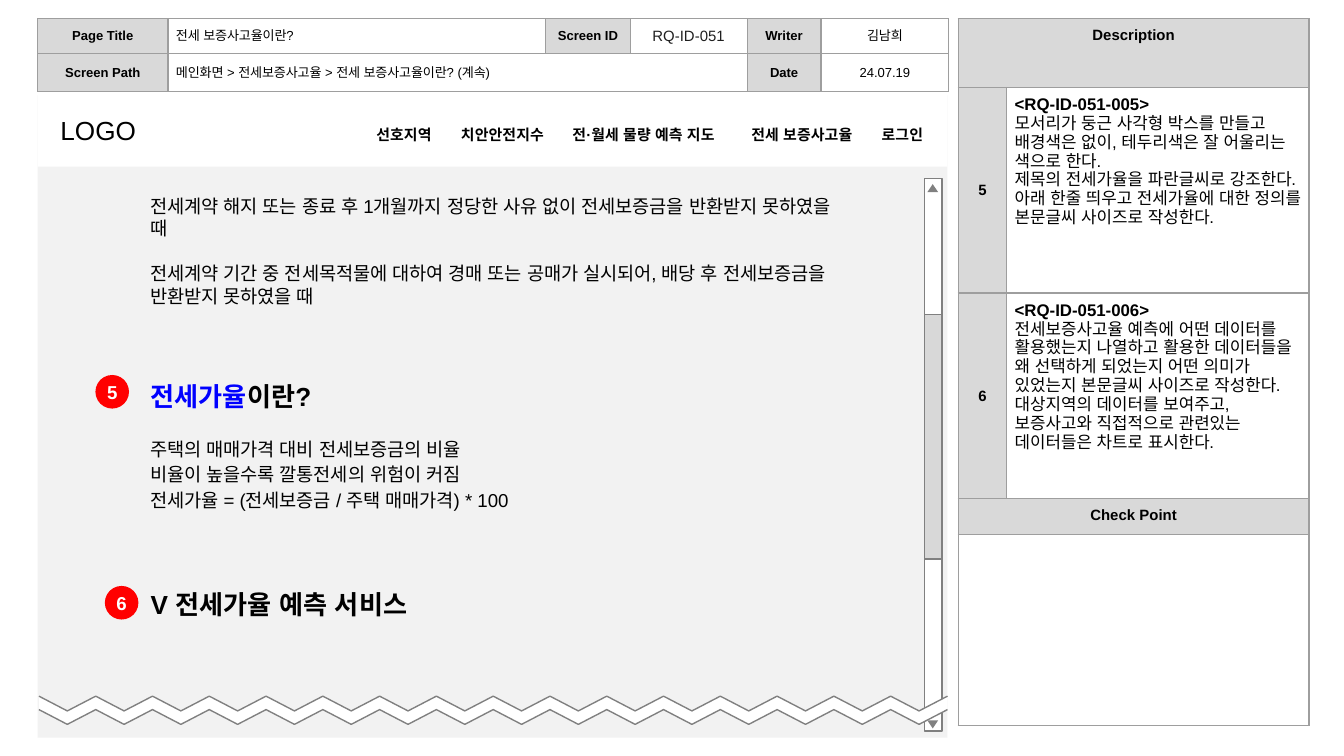
from collections import namedtuple
from dataclasses import dataclass

from lxml import etree
from pptx import Presentation
from pptx.dml.color import RGBColor
from pptx.enum import shapes, text
from pptx.oxml import ns
from pptx.util import Inches, Pt

Box = namedtuple("Box", "left top width height")
Kind = shapes.MSO_SHAPE
CENTER, LEFT = text.PP_ALIGN.CENTER, text.PP_ALIGN.LEFT
MIDDLE, TOP = text.MSO_ANCHOR.MIDDLE, text.MSO_ANCHOR.TOP


@dataclass(frozen=True)
class Theme:
    font: str = "Arial"
    language: str = "ko"
    black: str = "000000"
    ink: str = "1F1F1F"
    white: str = "FFFFFF"
    panel: str = "F2F2F2"
    label: str = "D9D9D9"
    thumb: str = "D8D8D8"
    border: str = "9E9E9E"
    outline: str = "808080"
    accent: str = "0000FF"
    marker: str = "FF0000"
    heading: float = 14
    body: float = 10
    note: float = 9
    small: float = 8
    tiny: float = 7
    line: float = 0.75
    loose: float = 1.15


THEME = Theme()


def lengths(box):
    return [Inches(value) for value in box]


def add_run(paragraph, words, size, color=THEME.black, bold=False):
    run = paragraph.add_run()
    run.text = words
    for name, value in {"name": THEME.font, "size": Pt(size), "bold": bold}.items():
        setattr(run.font, name, value)
    run.font.color.rgb = RGBColor.from_string(color)
    # Korean text takes the East Asian font and language
    properties = run._r.get_or_add_rPr()
    properties.set("lang", THEME.language)
    for script in ("ea", "cs"):
        etree.SubElement(properties, ns.qn(f"a:{script}"), typeface=THEME.font)


def format_frame(frame, inset, anchor=TOP):
    values = {"word_wrap": True, "auto_size": text.MSO_AUTO_SIZE.NONE, "vertical_anchor": anchor}
    for side in ("left", "top", "right", "bottom"):
        values[f"margin_{side}"] = Inches(inset)
    for name, value in values.items():
        setattr(frame, name, value)


def write_paragraphs(frame, paragraphs):
    """Each paragraph is a list of run arguments and a dict of its format."""
    for index, (runs, values) in enumerate(paragraphs):
        paragraph = frame.add_paragraph() if index else frame.paragraphs[0]
        for name, value in values.items():
            setattr(paragraph, name, value)
        for run in runs:
            add_run(paragraph, *run)


def add_text(slide, box, paragraphs):
    shape = slide.shapes.add_textbox(*lengths(box))
    format_frame(shape.text_frame, 0.1)
    write_paragraphs(shape.text_frame, paragraphs)


def paint(shape, fill=None, line=None):
    shape.shadow.inherit = False
    if fill:
        shape.fill.solid()
        shape.fill.fore_color.rgb = RGBColor.from_string(fill)
    else:
        shape.fill.background()
    if line:
        shape.line.color.rgb = RGBColor.from_string(line)
        shape.line.width = Pt(THEME.line)
    else:
        shape.line.fill.background()


def add_shape(slide, kind, box, fill, line=None):
    shape = slide.shapes.add_shape(kind, *lengths(box))
    paint(shape, fill, line)
    return shape


# Tables

def add_grid(slide, box, columns, rows):
    table = slide.shapes.add_table(len(rows), len(columns), *lengths(box)).table
    table.first_row = table.horz_banding = False
    for column, width in zip(table.columns, columns):
        column.width = Inches(width)
    for row, height in zip(table.rows, rows):
        row.height = Inches(height)
    for cell in table.iter_cells():
        properties = cell._tc.get_or_add_tcPr()
        for side in ("lnL", "lnR", "lnT", "lnB"):
            line = etree.SubElement(properties, ns.qn(f"a:{side}"), w=str(Pt(THEME.line)))
            fill = etree.SubElement(line, ns.qn("a:solidFill"))
            etree.SubElement(fill, ns.qn("a:srgbClr"), val=THEME.border)
        fill_cell(cell, THEME.white)
    return table


def fill_cell(cell, color):
    cell.fill.solid()
    cell.fill.fore_color.rgb = RGBColor.from_string(color)


def fill_text(cell, paragraphs, anchor=MIDDLE):
    for side in ("left", "top", "right", "bottom"):
        setattr(cell, f"margin_{side}", Inches(0.06))
    cell.vertical_anchor = anchor
    write_paragraphs(cell.text_frame, paragraphs)


def fill_label(cell, words, size, anchor=MIDDLE):
    fill_cell(cell, THEME.label)
    fill_text(cell, [([(words, size, THEME.black, True)], {"alignment": CENTER})], anchor)


def add_page_table(slide, box):
    table = add_grid(slide, box, [0.97, 2.81, 0.63, 0.87, 0.55, 0.95], [0.26, 0.28])
    table.cell(1, 1).merge(table.cell(1, 3))
    labels = {(0, 0): "Page Title", (0, 2): "Screen ID", (0, 4): "Writer",
              (1, 0): "Screen Path", (1, 4): "Date"}
    for place, words in labels.items():
        fill_label(table.cell(*place), words, THEME.tiny)
    values = [
        (0, 1, "전세 보증사고율이란?", THEME.tiny, THEME.black, LEFT),
        (0, 3, "RQ-ID-051", THEME.small, THEME.ink, CENTER),
        (0, 5, "김남희", THEME.tiny, THEME.black, CENTER),
        (1, 1, "메인화면 > 전세보증사고율 > 전세 보증사고율이란? (계속)", THEME.tiny, THEME.black, LEFT),
        (1, 5, "24.07.19", THEME.tiny, THEME.black, CENTER),
    ]
    for row, column, words, size, color, alignment in values:
        fill_text(table.cell(row, column), [([(words, size, color)], {"alignment": alignment})])


def add_description_table(slide, box):
    table = add_grid(slide, box, [0.36, 2.25], [0.51, 1.53, 1.53, 0.27, 1.42])
    for row in (0, 3, 4):
        table.cell(row, 0).merge(table.cell(row, 1))
    for row, words in ((0, "Description"), (3, "Check Point")):
        fill_label(table.cell(row, 0), words, THEME.small, TOP)
    notes = {
        "5": ["모서리가 둥근 사각형 박스를 만들고 배경색은 없이, 테두리색은 잘 어울리는 색으로 한다.",
              "제목의 전세가율을 파란글씨로 강조한다.",
              "아래 한줄 띄우고 전세가율에 대한 정의를 본문글씨 사이즈로 작성한다."],
        "6": ["전세보증사고율 예측에 어떤 데이터를 활용했는지 나열하고 활용한 데이터들을 왜 선택하게 되었는지 "
              "어떤 의미가 있었는지 본문글씨 사이즈로 작성한다.",
              "대상지역의 데이터를 보여주고, 보증사고와 직접적으로 관련있는 데이터들은 차트로 표시한다."],
    }
    for row, (number, lines) in enumerate(notes.items(), 1):
        fill_label(table.cell(row, 0), number, THEME.small)
        paragraphs = [([(f"<RQ-ID-051-00{number}>", THEME.note, THEME.black, True)], {})]
        paragraphs += [([(line, THEME.note)], {}) for line in lines]
        fill_text(table.cell(row, 1), paragraphs, TOP)


# Screen mock-up

def add_navigation(slide, box):
    shape = add_shape(slide, Kind.RECTANGLE, box, THEME.white)
    frame = shape.text_frame
    format_frame(frame, 0.1, MIDDLE)
    frame.margin_left = Inches(0.17)
    items = {"선호지역": 0.41, "치안안전지수": 0.61, "전·월세 물량 예측 지도": 1.11,
             "전세 보증사고율": 0.75, "로그인": 0.31}
    runs = [("LOGO", THEME.heading)]
    runs += [(f"\t{words}", THEME.small, THEME.black, True) for words in items]
    write_paragraphs(frame, [(runs, {"alignment": LEFT})])
    # One tab stop for each item
    stops = etree.SubElement(frame.paragraphs[0]._p.get_or_add_pPr(), ns.qn("a:tabLst"))
    gap, left = 0.22, 2.35
    for width in items.values():
        etree.SubElement(stops, ns.qn("a:tab"), pos=str(Inches(left)), algn="l")
        left += width + gap


def add_marker(slide, box, number):
    shape = add_shape(slide, Kind.OVAL, box, THEME.marker)
    format_frame(shape.text_frame, 0, MIDDLE)
    write_paragraphs(shape.text_frame,
                     [([(number, THEME.body, THEME.white, True)], {"alignment": CENTER})])


def add_content(slide, box):
    loose = {"line_spacing": THEME.loose}
    gap = {"space_before": Pt(12)}
    section = Box(box.left + 0.74, box.top + 0.64, 5.28, 1.05)
    add_text(slide, section, [
        ([("전세계약 해지 또는 종료 후 1개월까지 정당한 사유 없이 전세보증금을 반환받지 못하였을 때", THEME.body)], {}),
        ([("전세계약 기간 중 전세목적물에 대하여 경매 또는 공매가 실시되어, 배당 후 전세보증금을 반환받지 못하였을 때",
           THEME.body)], gap),
    ])
    add_text(slide, section._replace(top=box.top + 2.02), [
        ([("전세가율", THEME.heading, THEME.accent, True), ("이란?", THEME.heading, THEME.black, True)], {}),
        ([("주택의 매매가격 대비 전세보증금의 비율", THEME.body)], loose | gap),
        ([("비율이 높을수록 깔통전세의 위험이 커짐", THEME.body)], loose),
        ([("전세가율 = (전세보증금 / 주택 매매가격) * 100", THEME.body)], loose),
    ])
    # The title placeholder moves in front of the panel
    title = slide.shapes.title
    slide.shapes.element.append(title.element)
    title.left, title.top, title.width, title.height = lengths(section._replace(top=box.top + 3.57))
    format_frame(title.text_frame, 0.1)
    write_paragraphs(title.text_frame, [
        ([("V 전세가율 예측 서비스", THEME.heading, THEME.black, True)], {"alignment": LEFT})])
    add_marker(slide, Box(box.left + 0.43, box.top + 2.08, 0.25, 0.25), "5")
    add_marker(slide, Box(box.left + 0.5, box.top + 3.65, 0.25, 0.25), "6")


def add_scrollbar(slide, box):
    add_shape(slide, Kind.RECTANGLE, box, THEME.white, THEME.outline)
    for offset, rotation in ((0.04, 0), (box.height - 0.08, 180)):
        arrow = Box(box.left + 0.02, box.top + offset, 0.08, 0.06)
        add_shape(slide, Kind.ISOSCELES_TRIANGLE, arrow, THEME.outline).rotation = rotation
    add_shape(slide, Kind.RECTANGLE, box._replace(top=box.top + 1.01, height=1.82),
              THEME.thumb, THEME.outline)


def add_page_break(slide, box):
    steps, swing = 32, 0.11

    def zigzag(top):
        return [(Inches(box.left + box.width * step / steps), Inches(top + swing * (step % 2)))
                for step in range(steps + 1)]

    upper, lower = zigzag(box.top), zigzag(box.top + box.height - swing)
    outlines = [(upper + lower[::-1], True, THEME.white, None),
                (upper, False, None, THEME.outline), (lower, False, None, THEME.outline)]
    for points, closed, fill, line in outlines:
        builder = slide.shapes.build_freeform(*points[0])
        builder.add_line_segments(points[1:], close=closed)
        paint(builder.convert_to_shape(), fill, line)


def main():
    presentation = Presentation()
    presentation.slide_width = Inches(10)
    presentation.slide_height = presentation.slide_width * 9 // 16
    slide = presentation.slides.add_slide(presentation.slide_layouts[5])
    screen = Box(0.28, 0.71, 6.77, 4.78)
    add_shape(slide, Kind.RECTANGLE, screen, THEME.panel)
    add_description_table(slide, Box(7.13, 0.14, 2.61, 5.26))
    add_page_table(slide, Box(0.28, 0.14, 6.78, 0.54))
    add_content(slide, screen)
    add_navigation(slide, Box(0.28, 0.7, 6.77, 0.54))
    add_scrollbar(slide, Box(6.88, 1.33, 0.13, 4.11))
    add_page_break(slide, Box(0.29, 5.18, 6.76, 0.21))
    presentation.save("out.pptx")


if __name__ == "__main__":
    main()
